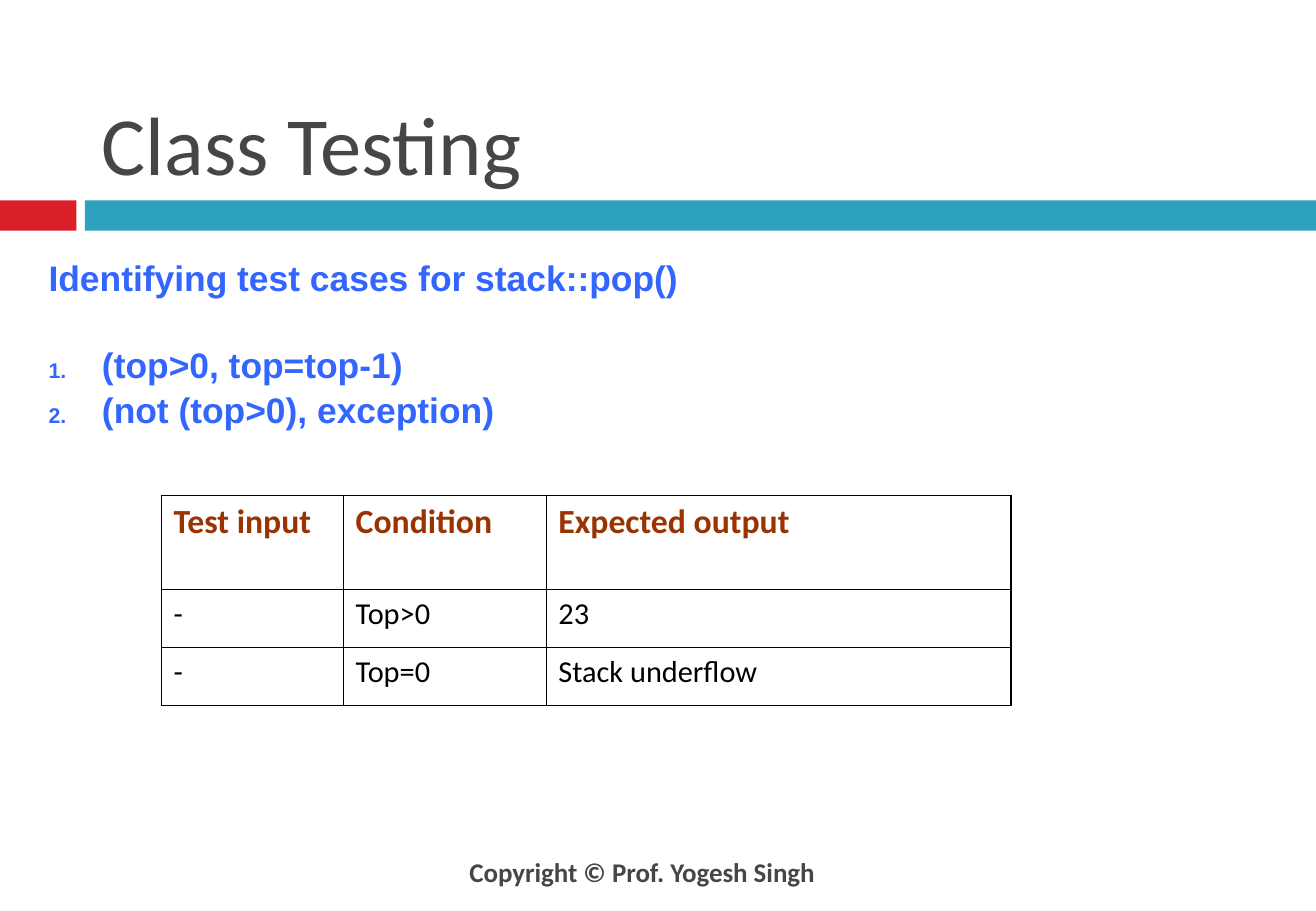
from lxml.etree import SubElement
from pptx import Presentation
from pptx.dml.color import RGBColor as Color
from pptx.enum.shapes import MSO_SHAPE as Shape
from pptx.enum.text import MSO_ANCHOR as Anchor, MSO_AUTO_SIZE as AutoSize, PP_ALIGN as Align
from pptx.oxml import parse_xml
from pptx.oxml.ns import nsdecls, qn
from pptx.util import Inches, Pt

TITLE = "Class Testing"
HEADING = "Identifying test cases for stack::pop()"
CASES = ["(top>0, top=top-1)", "(not (top>0), exception)"]
TABLE = [
    ("Test input", "Condition", "Expected output"),
    ("-", "Top>0", "23"),
    ("-", "Top=0", "Stack underflow"),
]
COPYRIGHT = "Copyright © Prof. Yogesh Singh"

COLUMN_WIDTHS = (1.5, 1.67, 3.83)
ROW_HEIGHTS = (0.77, 0.48, 0.48)
BARS = [((0, 1.65, 0.63, 0.25), "red"), ((0.7, 1.65, 10.14, 0.25), "teal")]

THEME = {
    "red": "DA1F28",
    "teal": "2DA2BF",
    "border": "000000",
    "outer_line": 1.08,
    "inner_line": 0.45,
    "title": {"name": "Calibri", "size": 49, "color": "464646", "bold": False},
    "list": {"name": "Arial", "size": 21, "color": "3366FF", "bold": True},
    "table_head": {"name": "Calibri", "size": 20, "color": "993300", "bold": True},
    "table_cell": {"name": "Calibri", "size": 18, "color": "000000", "bold": False},
    "footer": {"name": "Calibri", "size": 16, "color": "464646", "bold": True},
}


def set_font(font, style):
    values = THEME[style]
    for name, value in {**values, "size": Pt(values["size"])}.items():
        if name == "color":
            font.color.rgb = Color.from_string(value)
        else:
            setattr(font, name, value)


def place(shape, left, top, width, height):
    box = {"left": left, "top": top, "width": width, "height": height}
    for name, value in box.items():
        setattr(shape, name, Inches(value))


def set_frame(frame, anchor, inset_x, inset_y):
    values = {
        "word_wrap": True, "auto_size": AutoSize.NONE, "vertical_anchor": anchor,
        "margin_left": Inches(inset_x), "margin_right": Inches(inset_x),
        "margin_top": Inches(inset_y), "margin_bottom": Inches(inset_y),
    }
    for name, value in values.items():
        setattr(frame, name, value)


def add_bars(slide):
    for box, color in BARS:
        bar = slide.shapes.add_shape(Shape.RECTANGLE, *map(Inches, box))
        bar.shadow.inherit = False
        bar.fill.solid()
        bar.fill.fore_color.rgb = Color.from_string(THEME[color])
        bar.line.fill.background()


def fill_title(title):
    place(title, 0.72, 0.17, 9.66, 1.47)
    set_frame(title.text_frame, Anchor.BOTTOM, 0.12, 0.06)
    paragraph = title.text_frame.paragraphs[0]
    paragraph.text = TITLE
    paragraph.alignment = Align.LEFT
    set_font(paragraph.font, "title")


def set_bullet(paragraph, margin, indent, numbered):
    properties = paragraph._p.get_or_add_pPr()
    properties.set("marL", str(Inches(margin)))
    properties.set("indent", str(Inches(indent)))
    if not numbered:
        SubElement(properties, qn("a:buNone"))
        return
    color = SubElement(properties, qn("a:buClr"))
    SubElement(color, qn("a:srgbClr"), val=THEME["list"]["color"])
    SubElement(properties, qn("a:buSzPct"), val="60000")
    SubElement(properties, qn("a:buFont"), typeface=THEME["list"]["name"])
    SubElement(properties, qn("a:buAutoNum"), type="arabicPeriod")


def fill_list(body):
    place(body, 0.25, 2.06, 9.84, 1.6)
    frame = body.text_frame
    set_frame(frame, Anchor.TOP, 0.1, 0.05)
    for index, text in enumerate([HEADING, *CASES]):
        paragraph = frame.add_paragraph() if index else frame.paragraphs[0]
        paragraph.text = text
        paragraph.alignment = Align.JUSTIFY
        paragraph.space_before = Pt((0, 26.3, 1.2)[index])
        set_bullet(paragraph, 0.49, -0.44, numbered=index > 0)
        set_font(paragraph.font, "list")


def set_borders(cell, row, column):
    """Draw thick lines on the table's outer edge and thin ones inside."""
    outer_sides = {
        "L": column == 0,
        "R": column == len(COLUMN_WIDTHS) - 1,
        "T": row == 0,
        "B": row == len(ROW_HEIGHTS) - 1,
    }
    properties = cell._tc.get_or_add_tcPr()
    for position, (side, outer) in enumerate(outer_sides.items()):
        width = Pt(THEME["outer_line" if outer else "inner_line"])
        properties.insert(position, parse_xml(
            f'<a:ln{side} {nsdecls("a")} w="{width}"><a:solidFill>'
            f'<a:srgbClr val="{THEME["border"]}"/></a:solidFill></a:ln{side}>'))


def add_test_table(slide):
    box = (1.33, 4.08, sum(COLUMN_WIDTHS), sum(ROW_HEIGHTS))
    table = slide.shapes.add_table(
        len(ROW_HEIGHTS), len(COLUMN_WIDTHS), *map(Inches, box)).table
    table.first_row = table.horz_banding = False
    for column, width in zip(table.columns, COLUMN_WIDTHS):
        column.width = Inches(width)
    for row, height in zip(table.rows, ROW_HEIGHTS):
        row.height = Inches(height)
    for row, texts in enumerate(TABLE):
        for column, text in enumerate(texts):
            cell = table.cell(row, column)
            cell.text = text
            cell.fill.background()
            set_borders(cell, row, column)
            set_font(cell.text_frame.paragraphs[0].font, "table_cell" if row else "table_head")


def add_footer(slide):
    footer = slide.shapes.add_textbox(*map(Inches, (2.08, 6.98, 6.42, 0.4)))
    set_frame(footer.text_frame, Anchor.MIDDLE, 0.12, 0.06)
    paragraph = footer.text_frame.paragraphs[0]
    paragraph.text = COPYRIGHT
    paragraph.alignment = Align.CENTER
    set_font(paragraph.font, "footer")


def main():
    presentation = Presentation()
    presentation.slide_width = Inches(10.84)
    presentation.slide_height = Inches(7.5)
    slide = presentation.slides.add_slide(presentation.slide_layouts[1])
    add_bars(slide)
    fill_title(slide.shapes.title)
    fill_list(slide.placeholders[1])
    add_test_table(slide)
    add_footer(slide)
    presentation.save("out.pptx")


if __name__ == "__main__":
    main()
